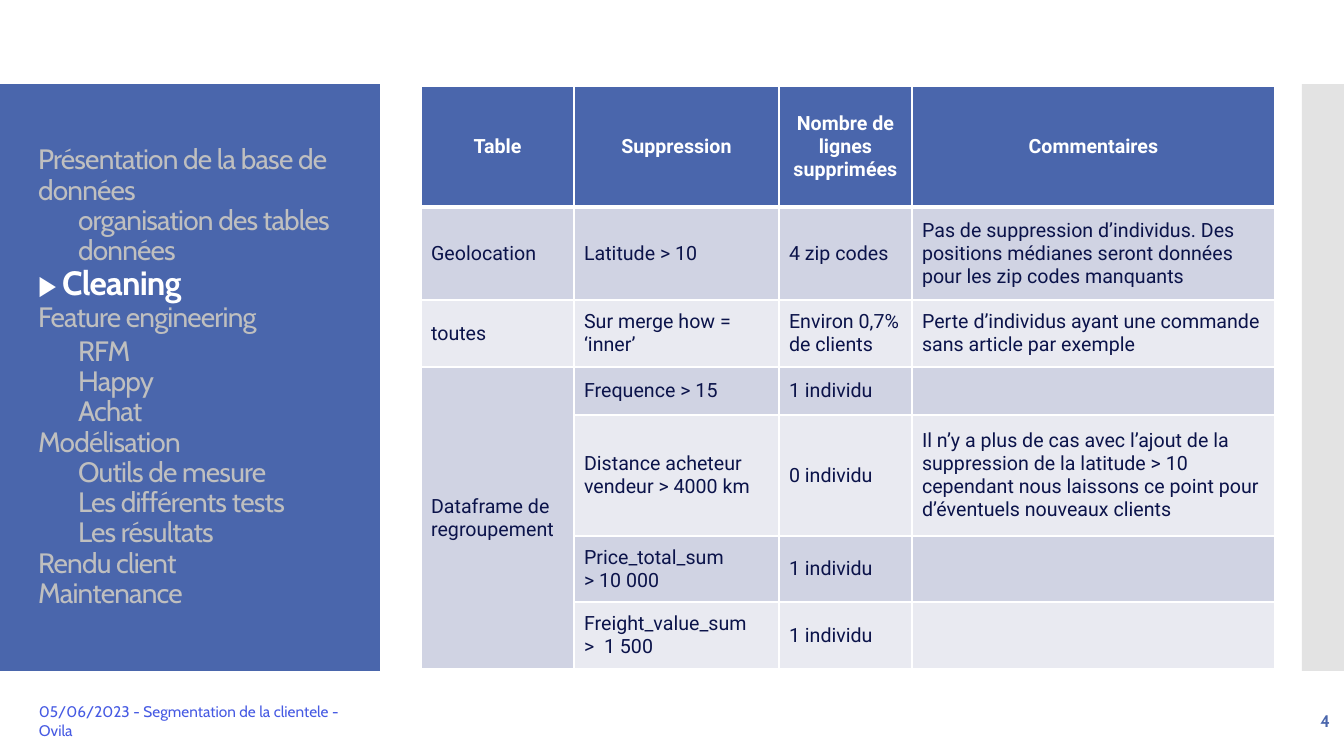
from lxml.etree import SubElement
from pptx import Presentation
from pptx.dml.color import RGBColor
from pptx.enum.shapes import MSO_SHAPE
from pptx.enum.text import MSO_ANCHOR, MSO_AUTO_SIZE, PP_ALIGN
from pptx.oxml import parse_xml
from pptx.oxml.ns import nsdecls, qn
from pptx.util import Pt

# Content: agenda lines as (level, text)
AGENDA = [
    (0, "Présentation de la base de données"),
    (1, "organisation des tables"),
    (1, "données"),
    (0, "Cleaning"),
    (0, "Feature engineering"),
    (1, "RFM"),
    (1, "Happy"),
    (1, "Achat"),
    (0, "Modélisation"),
    (1, "Outils de mesure"),
    (1, "Les différents tests"),
    (1, "Les résultats"),
    (0, "Rendu client"),
    (0, "Maintenance"),
]
ACTIVE = "Cleaning"
MARK = "▶︎ "
GAPS = {"RFM": 3}  # extra points above a line

ROWS = [
    ["Table", "Suppression", "Nombre de lignes supprimées", "Commentaires"],
    ["Geolocation", "Latitude > 10", "4 zip codes",
     "Pas de suppression d’individus. Des positions médianes seront données "
     "pour les zip codes manquants"],
    ["toutes", "Sur merge how = ‘inner’", "Environ 0,7% de clients",
     "Perte d’individus ayant une commande sans article par exemple"],
    ["Dataframe de regroupement", "Frequence > 15", "1 individu", ""],
    ["", "Distance acheteur vendeur > 4000 km", "0 individu",
     "Il n’y a plus de cas avec l’ajout de la suppression de la latitude > 10 "
     "cependant nous laissons ce point pour d’éventuels nouveaux clients"],
    ["", "Price_total_sum\n> 10 000", "1 individu", ""],
    ["", "Freight_value_sum\n>  1 500", "1 individu", ""],
]
MERGE = (3, 6)  # first and last row of the merged first column
WIDTHS = [153, 205, 133, 363]
HEIGHTS = [121, 93, 67, 48, 121, 66, 67]

FOOTER = "05/06/2023 - Segmentation de la clientele - Ovila"
NUMBER = "4"

COLORS = {
    "blue": "4A66AC", "gray": "C8C8C8", "muted": "BFBFBF", "white": "FFFFFF",
    "navy": "0B134A", "link": "465AE3", "odd": "D0D3E3", "even": "E9EAF1",
}
SCALE = 914400 / 100.8


def px(*vals):
    return [round(v * SCALE) for v in vals]


def rgb(name):
    return RGBColor.from_string(COLORS[name])


def add_run(para, text, size, color, font="Cabin", bold=False):
    run = para.add_run()
    run.text = text
    run.font.size = Pt(size)
    run.font.name = font
    run.font.bold = bold
    run.font.color.rgb = rgb(color)
    return run


def add_panel(box, color):
    panel = slide.shapes.add_shape(MSO_SHAPE.RECTANGLE, *px(*box))
    panel.shadow.inherit = False
    panel.fill.solid()
    panel.fill.fore_color.rgb = rgb(color)
    panel.line.fill.background()
    return panel


def add_note(box, text, size, color, align, bold=False):
    frame = slide.shapes.add_textbox(*px(*box)).text_frame
    frame.word_wrap = True
    frame.vertical_anchor = MSO_ANCHOR.MIDDLE
    para = frame.paragraphs[0]
    para.alignment = align
    add_run(para, text, size, color, bold=bold)


def set_edges(cell, top, bottom):
    props = cell._tc.get_or_add_tcPr()
    edges = [("lnL", 1), ("lnR", 1), ("lnT", top), ("lnB", bottom)]
    for i, (tag, width) in enumerate(edges):
        props.insert(i, parse_xml(
            f'<a:{tag} {nsdecls("a")} w="{Pt(width)}"><a:solidFill>'
            f'<a:srgbClr val="{COLORS["white"]}"/></a:solidFill></a:{tag}>'))


deck = Presentation()
deck.slide_width, deck.slide_height = px(1344, 756)
slide = deck.slides.add_slide(deck.slide_layouts[5])
title = slide.shapes.title

# Side panels, placed behind the title
left = add_panel((0, 84, 380, 587), "blue")
right = add_panel((1302, 84, 42, 587), "gray")
tint = next(right.element.iter(qn("a:srgbClr")))
SubElement(tint, qn("a:alpha")).set("val", "50000")
for panel in (left, right):
    title.element.addprevious(panel.element)

# Agenda in the title placeholder
title.left, title.top, title.width, title.height = px(28, 124, 325, 507)
frame = title.text_frame
frame.word_wrap = True
frame.auto_size = MSO_AUTO_SIZE.NONE
frame.vertical_anchor = MSO_ANCHOR.MIDDLE
for i, (level, text) in enumerate(AGENDA):
    para = frame.add_paragraph() if i else frame.paragraphs[0]
    para.alignment = PP_ALIGN.LEFT
    para.line_spacing = 0.9
    para.space_before = Pt(GAPS.get(text, 0))
    props = para._p.get_or_add_pPr()
    props.set("marL", str(px(40 * level)[0]))
    props.set("indent", "0")
    if text == ACTIVE:
        runs = [add_run(para, MARK, 20, "white"),
                add_run(para, text, 24, "white", bold=True)]
    else:
        runs = [add_run(para, text, 20, "muted")]
    for run in runs:
        run._r.get_or_add_rPr().set("spc", "-60")

# Table of removed rows
box = px(421, 86, sum(WIDTHS), sum(HEIGHTS))
table = slide.shapes.add_table(len(ROWS), len(WIDTHS), *box).table
table.horz_banding = False
for col, width in zip(table.columns, px(*WIDTHS)):
    col.width = width
for row, height in zip(table.rows, px(*HEIGHTS)):
    row.height = height
table.cell(MERGE[0], 0).merge(table.cell(MERGE[1], 0))
for r, texts in enumerate(ROWS):
    head = r == 0
    for c, text in enumerate(texts):
        cell = table.cell(r, c)
        cell.vertical_anchor = MSO_ANCHOR.MIDDLE
        band = "odd" if r % 2 or cell.is_spanned else "even"
        cell.fill.solid()
        cell.fill.fore_color.rgb = rgb("blue" if head else band)
        set_edges(cell, 3 if r == 1 else 1, 3 if head else 1)
        if not text:
            continue
        for i, line in enumerate(text.split("\n")):
            frame = cell.text_frame
            para = frame.add_paragraph() if i else frame.paragraphs[0]
            para.alignment = PP_ALIGN.CENTER if head else PP_ALIGN.LEFT
            add_run(para, line, 14, "white" if head else "navy", "Roboto", head)

# Footer and page number
add_note((29, 701, 357, 40), FOOTER, 11, "link", PP_ALIGN.LEFT)
add_note((1172, 701, 168, 40), NUMBER, 12, "blue", PP_ALIGN.RIGHT, True)

deck.save("out.pptx")
